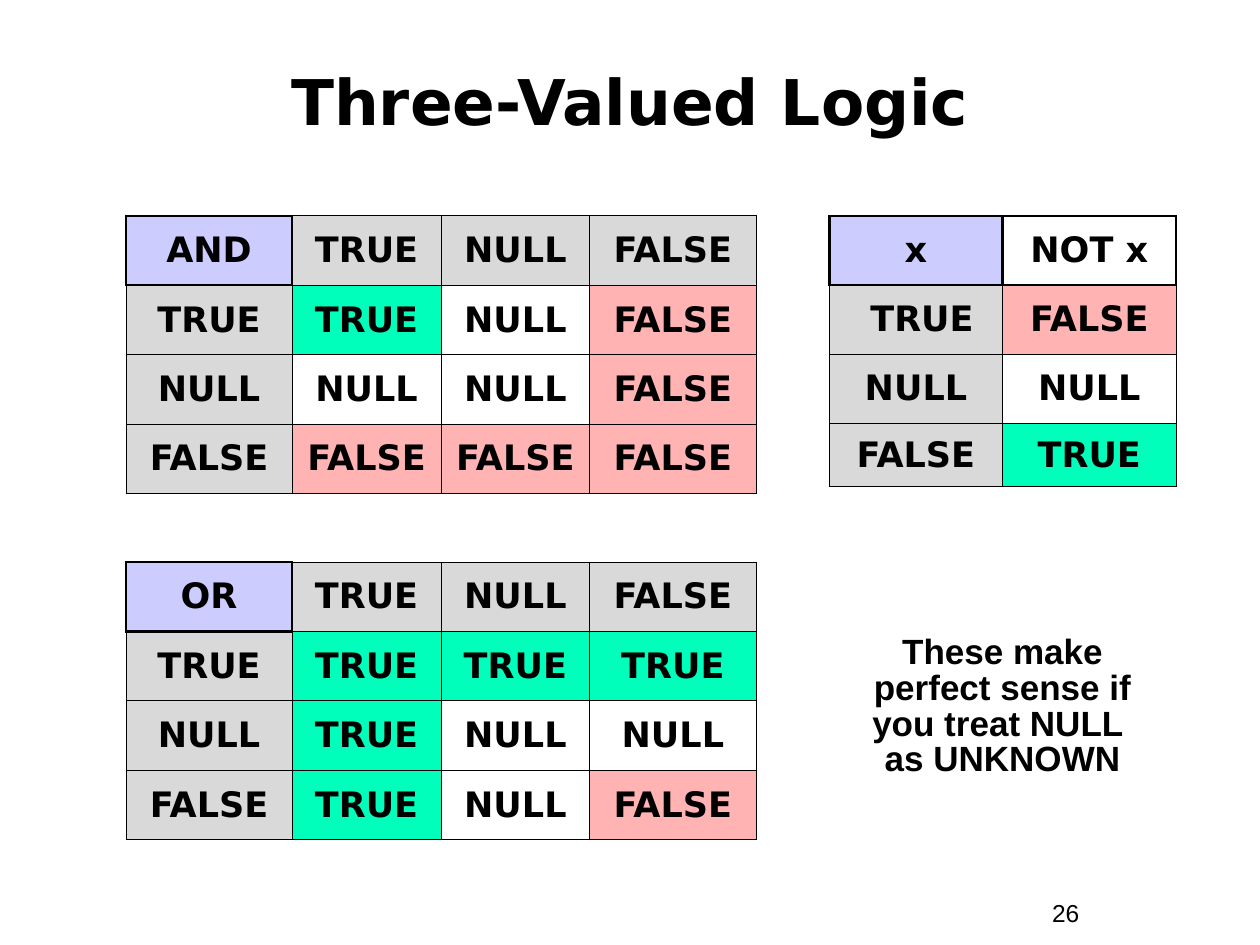
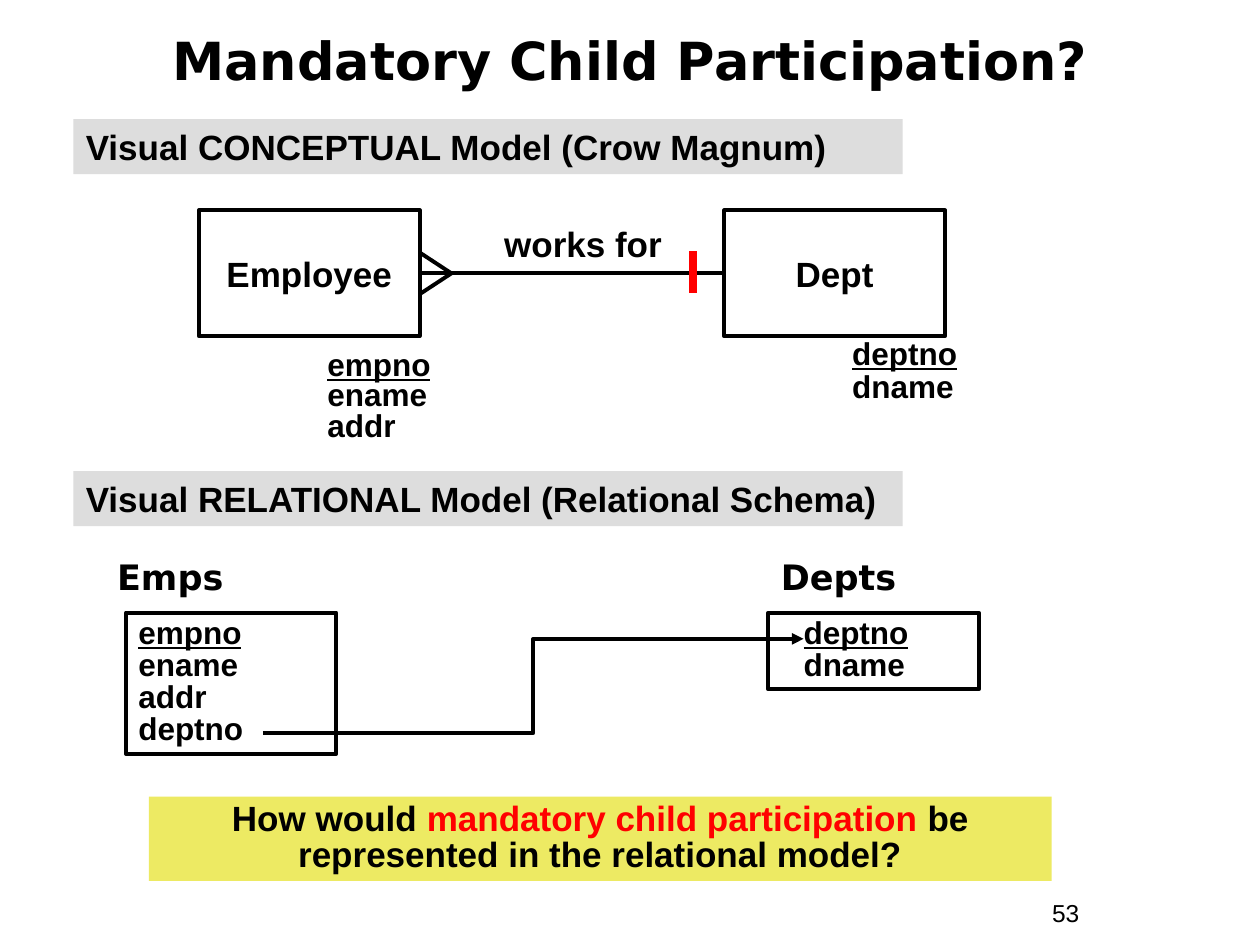
"""Build two database slides: three-valued logic and mandatory child participation."""
from dataclasses import dataclass
from typing import NamedTuple, Optional

from lxml import etree
from pptx import Presentation
from pptx.dml.color import RGBColor
from pptx.enum.shapes import MSO_CONNECTOR, MSO_SHAPE
from pptx.enum.text import MSO_ANCHOR, PP_ALIGN
from pptx.oxml.ns import qn
from pptx.presentation import Presentation as Deck
from pptx.shapes.autoshape import Shape
from pptx.shapes.connector import Connector
from pptx.slide import Slide
from pptx.table import _Cell
from pptx.text.text import TextFrame
from pptx.util import Cm, Pt

LEFT, CENTER = PP_ALIGN.LEFT, PP_ALIGN.CENTER
TOP, MIDDLE = MSO_ANCHOR.TOP, MSO_ANCHOR.MIDDLE
RECTANGLE = MSO_SHAPE.RECTANGLE
STRAIGHT, ELBOW = MSO_CONNECTOR.STRAIGHT, MSO_CONNECTOR.ELBOW
LEFT_SIDE, RIGHT_SIDE = 1, 3


@dataclass(frozen=True)
class Theme:
    """Colours, fonts, type sizes and line widths in points."""
    ink: RGBColor = RGBColor(0x00, 0x00, 0x00)
    accent: RGBColor = RGBColor(0xFF, 0x00, 0x00)
    band: RGBColor = RGBColor(0xDD, 0xDD, 0xDD)
    question: RGBColor = RGBColor(0xED, 0xEA, 0x63)
    operator: RGBColor = RGBColor(0xCC, 0xCC, 0xFF)
    operand: RGBColor = RGBColor(0xD9, 0xD9, 0xD9)
    true: RGBColor = RGBColor(0x01, 0xFF, 0xBC)
    false: RGBColor = RGBColor(0xFF, 0xB3, 0xB3)
    display: str = "DejaVu Sans"
    body: str = "Arial"
    large_title: float = 36
    title: float = 30
    text: float = 20
    attribute: float = 18
    page: float = 14
    outline: float = 2.25
    tick: float = 4.5
    thin_border: float = 0.45
    thick_border: float = 1.47


THEME = Theme()
TRUTH_FILLS = {"TRUE": THEME.true, "NULL": None, "FALSE": THEME.false}


class Box(NamedTuple):
    """Left, top, width and height in centimetres."""
    left: float
    top: float
    width: float
    height: float


class Point(NamedTuple):
    """A position in centimetres."""
    x: float
    y: float


@dataclass(frozen=True)
class TextStyle:
    """How the text of one frame looks."""
    size: float = THEME.text
    font: str = THEME.body
    bold: bool = True
    align: PP_ALIGN = LEFT
    anchor: MSO_ANCHOR = TOP
    spacing: float = 1.0


@dataclass(frozen=True)
class TruthTable:
    """A truth table with its grid in centimetres."""
    origin: Point
    widths: tuple[float, ...]
    heights: tuple[float, ...]
    rows: tuple[tuple[str, ...], ...]


@dataclass(frozen=True)
class AttributeList:
    """Attributes of an entity or relation, the key first."""
    box: Box
    names: tuple[str, ...]
    spacings: tuple[float, ...]
    outlined: bool = False
    margin: float = 0.25


BODY = TextStyle()
CENTERED = TextStyle(align=CENTER)
TIGHT = TextStyle(align=CENTER, spacing=0.85)
ENTITY = TextStyle(align=CENTER, anchor=MIDDLE)
HEADING = TextStyle(font=THEME.display)
CELL = TextStyle(font=THEME.display, align=CENTER, anchor=MIDDLE)
ATTRIBUTE = TextStyle(size=THEME.attribute)
PAGE = TextStyle(size=THEME.page, bold=False)

LOGIC_WIDTHS = (3.35, 3, 3, 3.35)
LOGIC_HEIGHTS = (1.4,) * 4
TRUTH_TABLES = (
    TruthTable(Point(2.54, 4.35), LOGIC_WIDTHS, LOGIC_HEIGHTS, (
        ("AND", "TRUE", "NULL", "FALSE"),
        ("TRUE", "TRUE", "NULL", "FALSE"),
        ("NULL", "NULL", "NULL", "FALSE"),
        ("FALSE", "FALSE", "FALSE", "FALSE"))),
    TruthTable(Point(2.54, 11.33), LOGIC_WIDTHS, LOGIC_HEIGHTS, (
        ("OR", "TRUE", "NULL", "FALSE"),
        ("TRUE", "TRUE", "TRUE", "TRUE"),
        ("NULL", "TRUE", "NULL", "NULL"),
        ("FALSE", "TRUE", "NULL", "FALSE"))),
    TruthTable(Point(16.72, 4.36), (3.49, 3.5), (1.38, 1.4, 1.4, 1.27), (
        ("x", "NOT x"),
        (" TRUE", "FALSE"),
        ("NULL", "NULL"),
        ("FALSE", "TRUE"))),
)
ATTRIBUTE_LISTS = (
    AttributeList(Box(16.93, 6.76, 2.97, 1.55), ("deptno", "dname"), (0.8, 0.9)),
    AttributeList(Box(6.35, 6.98, 2.97, 2.08), ("empno", "ename", "addr"), (0.8,) * 3),
    AttributeList(Box(2.54, 12.35, 4.24, 2.85), ("empno", "ename", "addr", "deptno"),
                  (0.85,) * 4, outlined=True),
    AttributeList(Box(15.49, 12.35, 4.24, 1.55), ("deptno", "dname"), (0.85,) * 2,
                  outlined=True, margin=0.71),
)


def format_text(frame: TextFrame, style: TextStyle) -> None:
    """Apply a style to every run of a frame."""
    frame.word_wrap = True
    frame.vertical_anchor = style.anchor
    for paragraph in frame.paragraphs:
        paragraph.alignment = style.align
        paragraph.line_spacing = style.spacing
        for run in paragraph.runs:
            run.font.size = Pt(style.size)
            run.font.name = style.font
            run.font.bold = style.bold
            run.font.color.rgb = THEME.ink


def add_label(slide: Slide, box: Box, text: str, style: TextStyle) -> TextFrame:
    """Add a plain text box."""
    frame = slide.shapes.add_textbox(*map(Cm, box)).text_frame
    frame.text = text
    format_text(frame, style)
    return frame


def add_panel(slide: Slide, box: Box, text: str, style: TextStyle,
              fill: Optional[RGBColor] = None) -> Shape:
    """Add a rectangle that is either filled or outlined."""
    panel = slide.shapes.add_shape(RECTANGLE, *map(Cm, box))
    panel.shadow.inherit = False
    if fill is None:
        panel.fill.background()
        panel.line.color.rgb = THEME.ink
        panel.line.width = Pt(THEME.outline)
    else:
        panel.fill.solid()
        panel.fill.fore_color.rgb = fill
        panel.line.fill.background()
    panel.text_frame.text = text
    format_text(panel.text_frame, style)
    return panel


def add_line(slide: Slide, start: Point, end: Point, kind: MSO_CONNECTOR = STRAIGHT,
             color: RGBColor = THEME.ink, width: float = THEME.outline,
             arrow: bool = False) -> Connector:
    """Add a line without shadow, with an arrowhead at its end if asked."""
    line = slide.shapes.add_connector(kind, *map(Cm, (*start, *end)))
    line.line.color.rgb = color
    line.line.width = Pt(width)
    properties = line._element.spPr
    if arrow:
        etree.SubElement(properties.find(qn("a:ln")), qn("a:tailEnd"), type="triangle")
    etree.SubElement(properties, qn("a:effectLst"))
    return line


def add_border(cell: _Cell, side: str, width: float) -> None:
    """Draw one side of a table cell."""
    border = etree.SubElement(cell._tc.get_or_add_tcPr(), qn(f"a:ln{side}"),
                              w=str(int(Pt(width))))
    fill = etree.SubElement(border, qn("a:solidFill"))
    etree.SubElement(fill, qn("a:srgbClr"), val=str(THEME.ink))


def cell_fill(row: int, column: int, value: str) -> Optional[RGBColor]:
    """Choose a cell colour from its place and truth value."""
    if row == column == 0:
        return THEME.operator
    if column == 0 or (row == 0 and value in TRUTH_FILLS):
        return THEME.operand
    return TRUTH_FILLS.get(value)


def add_truth_table(slide: Slide, spec: TruthTable) -> None:
    """Add a truth table with thick borders around its operator cells."""
    box = Box(*spec.origin, sum(spec.widths), sum(spec.heights))
    table = slide.shapes.add_table(len(spec.rows), len(spec.widths),
                                   *map(Cm, box)).table
    table.first_row = table.horz_banding = False
    for column, width in zip(table.columns, spec.widths):
        column.width = Cm(width)
    for row, height in zip(table.rows, spec.heights):
        row.height = Cm(height)
    operators = {(r, c) for r, values in enumerate(spec.rows)
                 for c, value in enumerate(values) if value.strip() not in TRUTH_FILLS}
    for r, values in enumerate(spec.rows):
        for c, value in enumerate(values):
            cell = table.cell(r, c)
            cell.text = value
            format_text(cell.text_frame, CELL)
            cell.vertical_anchor = MIDDLE
            neighbours = {"L": (r, c - 1), "R": (r, c + 1), "T": (r - 1, c), "B": (r + 1, c)}
            for side, neighbour in neighbours.items():
                thick = operators & {(r, c), neighbour}
                add_border(cell, side, THEME.thick_border if thick else THEME.thin_border)
            color = cell_fill(r, c, value)
            if color is None:
                cell.fill.background()
            else:
                cell.fill.solid()
                cell.fill.fore_color.rgb = color


def add_attributes(slide: Slide, spec: AttributeList) -> None:
    """Add an attribute list with its key underlined."""
    names = "\n".join(spec.names)
    if spec.outlined:
        frame = add_panel(slide, spec.box, names, ATTRIBUTE).text_frame
    else:
        frame = add_label(slide, spec.box, names, ATTRIBUTE)
    frame.margin_left = Cm(spec.margin)
    for paragraph, spacing in zip(frame.paragraphs, spec.spacings):
        paragraph.line_spacing = spacing
    frame.paragraphs[0].runs[0].font.underline = True


def add_slide(deck: Deck, title: str, box: Box, size: float, page: str) -> Slide:
    """Add a blank slide with its title and page number."""
    slide = deck.slides.add_slide(deck.slide_layouts[6])
    add_label(slide, box, title, TextStyle(size, THEME.display, align=CENTER, anchor=MIDDLE))
    add_label(slide, Box(20.96, 17.98, 2.34, 0.86), page, PAGE)
    return slide


def build_logic(deck: Deck) -> None:
    """Build the slide of truth tables."""
    slide = add_slide(deck, "Three-Valued Logic", Box(0.85, 0.85, 23.7, 2.33),
                      THEME.large_title, "26")
    for spec in TRUTH_TABLES:
        add_truth_table(slide, spec)
    add_label(slide, Box(16.72, 12.7, 6.98, 3.15),
              "These make perfect sense if you treat NULL \vas UNKNOWN", TIGHT)


def build_participation(deck: Deck) -> None:
    """Build the slide of the conceptual and relational models."""
    slide = add_slide(deck, "Mandatory Child Participation?", Box(0.64, 0.46, 24.13, 1.47),
                      THEME.title, "53")
    for top, text in ((2.4, "Visual CONCEPTUAL Model (Crow Magnum)"),
                      (9.5, "Visual RELATIONAL Model (Relational Schema)")):
        add_panel(slide, Box(1.48, top, 16.72, 1.11), text, BODY, THEME.band)

    employee, dept = (add_panel(slide, Box(left, 4.24, 4.45, 2.54), name, ENTITY)
                      for left, name in ((4.01, "Employee"), (14.6, "Dept")))
    axis = 5.51
    works_for = add_line(slide, Point(8.46, axis), Point(14.6, axis))
    works_for.begin_connect(employee, RIGHT_SIDE)
    works_for.end_connect(dept, LEFT_SIDE)
    for toe in (-0.42, 0.42):
        add_line(slide, Point(9.1, axis), Point(8.46, axis + toe))
    add_line(slide, Point(13.97, axis - 0.44), Point(13.97, axis + 0.4),
             color=THEME.accent, width=THEME.tick)
    add_label(slide, Box(9.75, 4.37, 4.01, 1.11), "works for", CENTERED)

    for left, name in ((2.11, "Emps"), (15.49, "Depts")):
        add_label(slide, Box(left, 11.07, 5.46, 1.11), name, HEADING)
    for spec in ATTRIBUTE_LISTS:
        add_attributes(slide, spec)
    add_line(slide, Point(5.3, 14.78), Point(16.2, 12.88), ELBOW, arrow=True)

    question = add_panel(slide, Box(3, 16.06, 18.2, 1.7), "How would ", TIGHT,
                         THEME.question).text_frame
    paragraph = question.paragraphs[0]
    for words in ("mandatory child participation",
                  " be represented in the relational model?"):
        paragraph.add_run().text = words
    format_text(question, TIGHT)
    paragraph.runs[1].font.color.rgb = THEME.accent


def main() -> None:
    """Build and save the deck."""
    deck = Presentation()
    deck.slide_width, deck.slide_height = Cm(25.4), Cm(19.05)
    build_logic(deck)
    build_participation(deck)
    deck.save("out.pptx")


if __name__ == "__main__":
    main()
